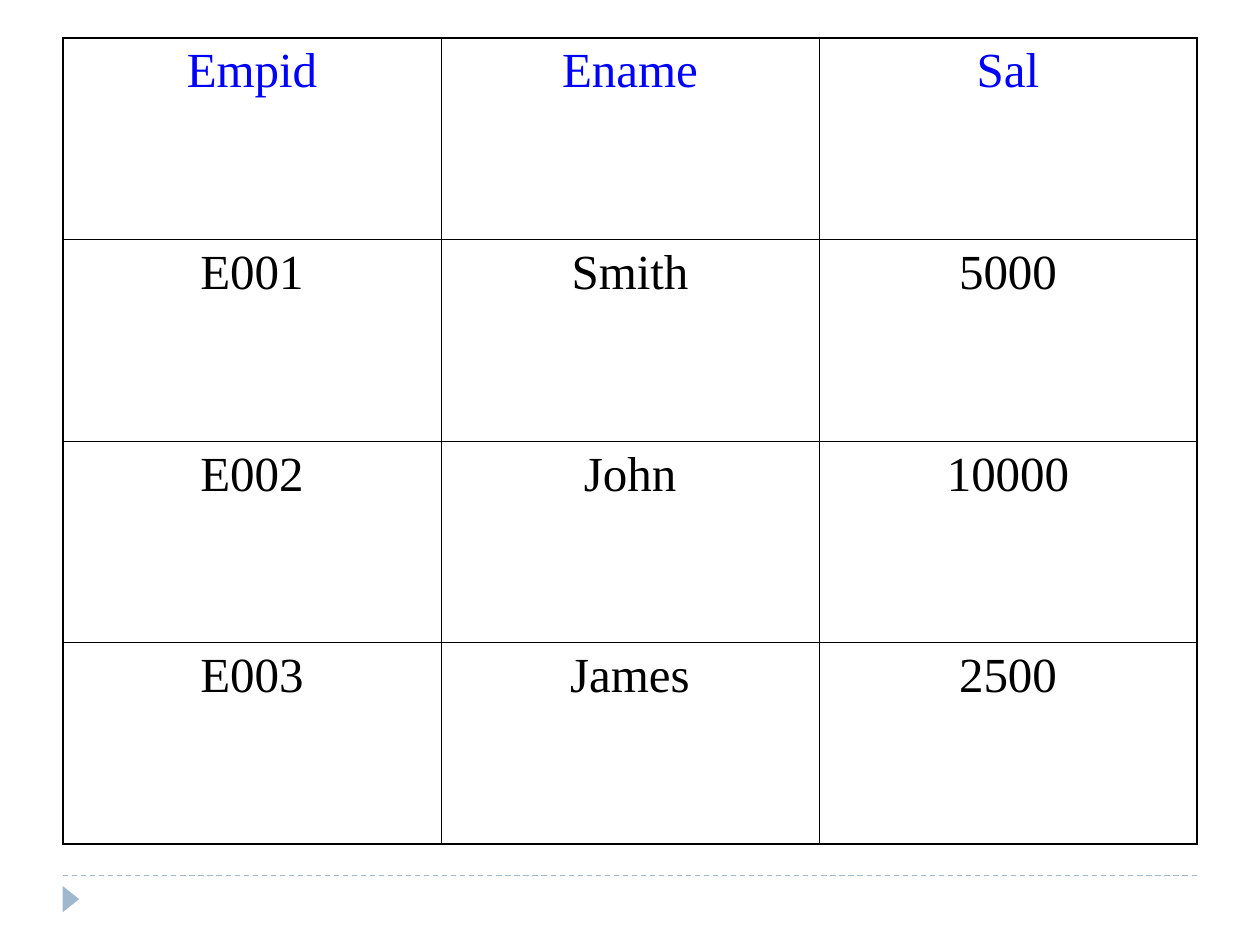
from dataclasses import dataclass

from lxml.etree import SubElement as Sub
from pptx import Presentation
from pptx.dml.color import RGBColor as RGB
from pptx.enum.dml import MSO_LINE as Dash
from pptx.enum.shapes import MSO_CONNECTOR as Conn, MSO_SHAPE as Shape
from pptx.enum.text import MSO_ANCHOR as Anchor, PP_ALIGN as Align
from pptx.oxml.ns import qn
from pptx.util import Pt


@dataclass(frozen=True)
class Theme:
    font: str = "Times New Roman"
    size: float = 28
    head: str = "0000FF"
    ink: str = "000000"
    mark: str = "9FB8CD"
    thick: float = 1.08
    thin: float = 0.45


THEME = Theme()
ROWS = [
    ("Empid", "Ename", "Sal"),
    ("E001", "Smith", "5000"),
    ("E002", "John", "10000"),
    ("E003", "James", "2500"),
]


def write(frame, text, color=THEME.ink, size=THEME.size, align=Align.CENTER):
    para = frame.paragraphs[0]
    para.alignment = align
    run = para.add_run()
    run.text = text
    font = run.font
    font.name, font.size, font.bold = THEME.font, Pt(size), False
    font.color.rgb = RGB.from_string(color)


def edge(cell, side, width):
    line = Sub(cell._tc.get_or_add_tcPr(), qn(f"a:ln{side}"), w=str(Pt(width)))
    fill = Sub(line, qn("a:solidFill"))
    Sub(fill, qn("a:srgbClr"), val=THEME.ink)


# Staff table: thick outer frame, thin inner rules
def staff(slide, left, top, width, height):
    count, span = len(ROWS), len(ROWS[0])
    table = slide.shapes.add_table(
        count, span, Pt(left), Pt(top), Pt(width), Pt(height)).table
    table.first_row = table.horz_banding = False
    for col in table.columns:
        col.width = Pt(width / span)
    for r, names in enumerate(ROWS):
        table.rows[r].height = Pt(height / count)
        for c, name in enumerate(names):
            cell = table.cell(r, c)
            cell.margin_left = cell.margin_right = Pt(7.2)
            cell.margin_top = cell.margin_bottom = Pt(3.6)
            cell.vertical_anchor = Anchor.TOP
            outer = {"L": c == 0, "R": c == span - 1,
                     "T": r == 0, "B": r == count - 1}
            for side, thick in outer.items():
                edge(cell, side, THEME.thick if thick else THEME.thin)
            cell.fill.background()
            write(cell.text_frame, name, color=THEME.ink if r else THEME.head)


# Footer: dashed rule with a pointer below its left end
def footer(slide, left, top, width):
    color = RGB.from_string(THEME.mark)
    rule = slide.shapes.add_connector(
        Conn.STRAIGHT, Pt(left), Pt(top), Pt(left + width), Pt(top))
    rule.line.color.rgb = color
    rule.line.width = Pt(0.75)
    rule.line.dash_style = Dash.DASH
    Sub(rule._element.spPr, qn("a:effectLst"))

    mark = slide.shapes.add_shape(
        Shape.ISOSCELES_TRIANGLE, Pt(left - 3), Pt(top + 8.7), Pt(15), Pt(9.4))
    mark.rotation = 90
    mark.shadow.inherit = False
    mark.fill.solid()
    mark.fill.fore_color.rgb = color
    mark.line.fill.background()


def main():
    deck = Presentation()
    deck.slide_width, deck.slide_height = Pt(720), Pt(540)
    slide = deck.slides.add_slide(deck.slide_layouts[6])
    footer(slide, 36, 500.4, 648)
    staff(slide, 36, 21.6, 648, 460.8)
    deck.save("out.pptx")


if __name__ == "__main__":
    main()
